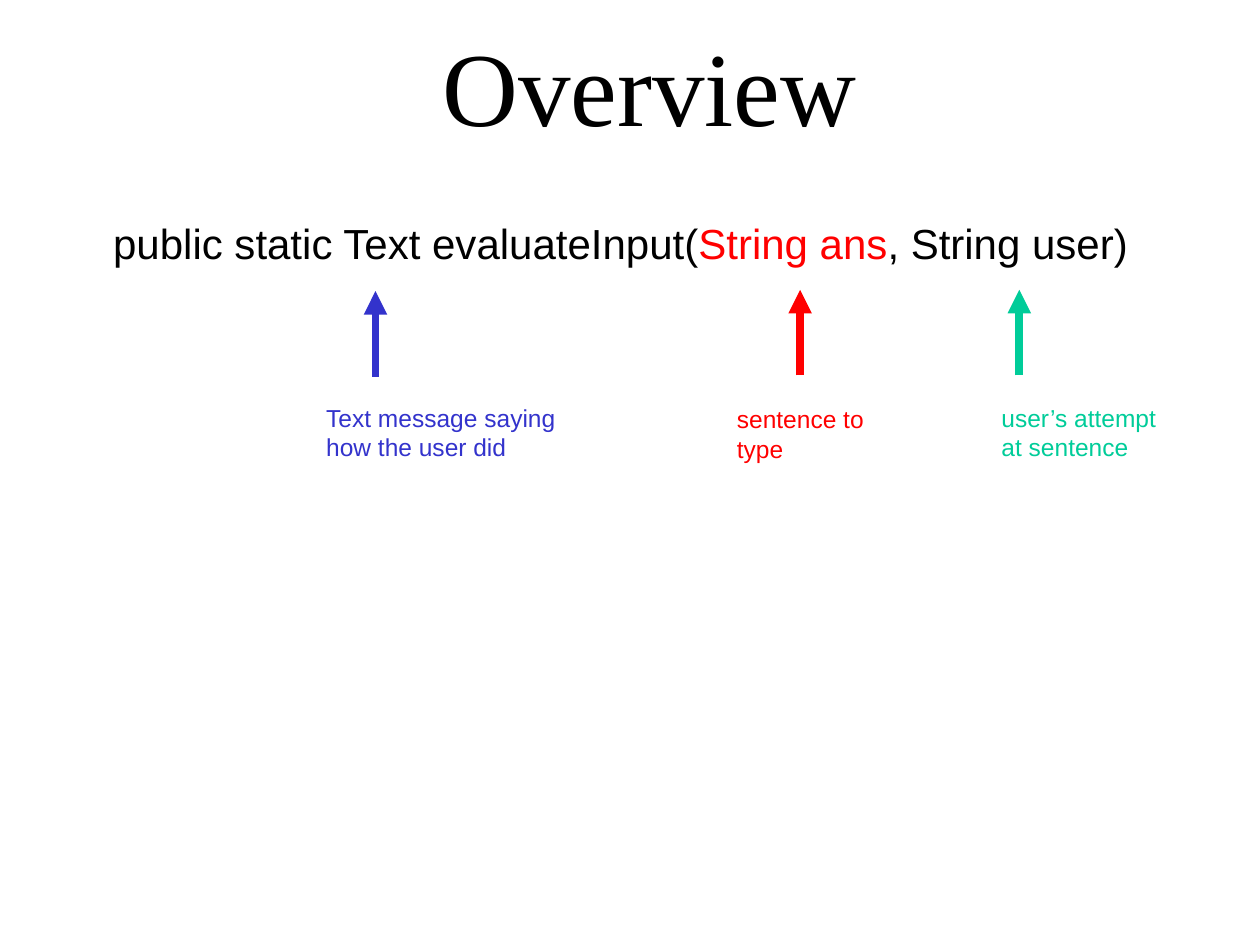
from dataclasses import dataclass
from lxml import etree
from pptx import Presentation
from pptx.dml.color import RGBColor
from pptx.enum.shapes import MSO_CONNECTOR
from pptx.enum.text import MSO_ANCHOR, MSO_AUTO_SIZE, PP_ALIGN
from pptx.oxml.ns import qn
from pptx.util import Inches, Pt

STRAIGHT = MSO_CONNECTOR.STRAIGHT
MIDDLE = MSO_ANCHOR.MIDDLE
NO_FIT = MSO_AUTO_SIZE.NONE
LEFT, CENTER = PP_ALIGN.LEFT, PP_ALIGN.CENTER


@dataclass(frozen=True)
class Theme:
    black: str = "000000"
    red: str = "FF0000"
    green: str = "00CC99"
    blue: str = "3333CC"
    title_font: str = "Times New Roman"
    body_font: str = "Arial"
    title_size: int = 60
    code_size: int = 24
    note_size: int = 14
    arrow_width: float = 4.5


T = Theme()
TITLE = "Overview"
SIGNATURE = [
    ("public static Text evaluateInput(", T.black),
    ("String ans", T.red),
    (", String user) ", T.black),
]
NOTES = [
    {"lines": ["Text message saying", "how the user did"], "color": T.blue,
     "arrow": (2.98, 2.31), "box": (2.49, 3.15, 2.05, 0.57)},
    {"lines": ["sentence to ", "type"], "color": T.red,
     "arrow": (6.35, 2.3), "box": (5.75, 3.16, 1.3, 0.57)},
    {"lines": ["user\u2019s attempt", "at sentence"], "color": T.green,
     "arrow": (8.09, 2.3), "box": (7.85, 3.15, 1.46, 0.57)},
]
ARROW_LENGTH = 0.68


def write(sp, paragraphs, size, font=T.body_font, align=LEFT, wrap=False,
          spacing=1.0):
    tf = sp.text_frame
    tf.auto_size = NO_FIT
    tf.word_wrap = wrap
    for i, runs in enumerate(paragraphs):
        p = tf.add_paragraph() if i else tf.paragraphs[0]
        p.alignment = align
        p.line_spacing = spacing
        for text, color in runs:
            r = p.add_run()
            r.text = text
            r.font.name = font
            r.font.size = Pt(size)
            r.font.color.rgb = RGBColor.from_string(color)


def add_arrow(slide, x, top, color):
    sp = slide.shapes.add_connector(
        STRAIGHT, Inches(x), Inches(top + ARROW_LENGTH), Inches(x), Inches(top))
    sp.line.color.rgb = RGBColor.from_string(color)
    sp.line.width = Pt(T.arrow_width)
    etree.SubElement(sp.line._get_or_add_ln(), qn("a:tailEnd"), type="triangle")
    etree.SubElement(sp._element.spPr, qn("a:effectLst"))


prs = Presentation()
prs.slide_width, prs.slide_height = Inches(10), Inches(7.5)
slide = prs.slides.add_slide(prs.slide_layouts[5])

title = slide.shapes.title
title.left, title.top, title.width, title.height = map(
    Inches, (1.58, 0.04, 7.15, 1.38))
title.text_frame.vertical_anchor = MIDDLE
write(title, [[(TITLE, T.black)]], T.title_size, font=T.title_font,
      align=CENTER, wrap=True, spacing=0.9)

signature = slide.shapes.add_textbox(*map(Inches, (0.8, 1.68, 8.47, 0.5)))
write(signature, [SIGNATURE], T.code_size)

for note in NOTES:
    add_arrow(slide, *note["arrow"], note["color"])
    box = slide.shapes.add_textbox(*map(Inches, note["box"]))
    write(box, [[(line, note["color"])] for line in note["lines"]], T.note_size)

prs.save("out.pptx")
